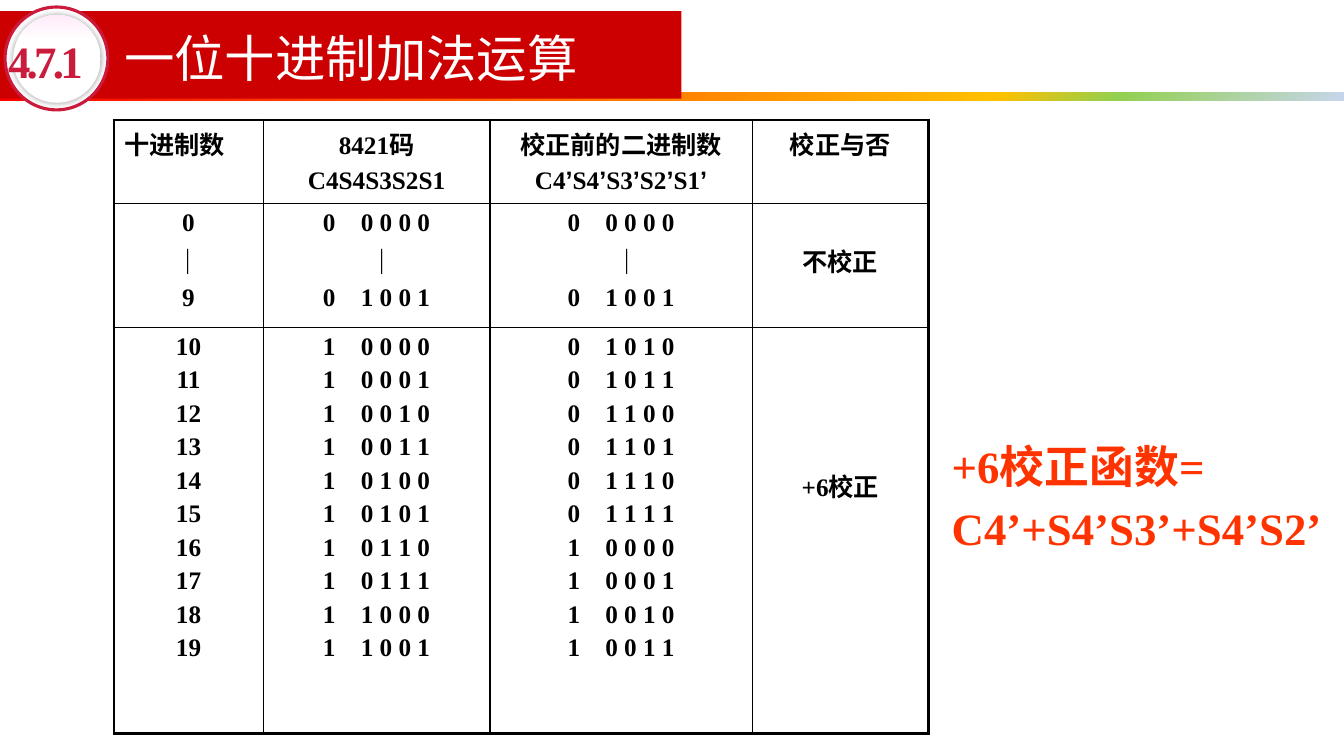
from itertools import groupby

from lxml import etree
from pptx import Presentation
from pptx.dml.color import RGBColor
from pptx.enum.shapes import MSO_SHAPE
from pptx.enum.text import MSO_ANCHOR, MSO_AUTO_SIZE, PP_ALIGN
from pptx.oxml.ns import qn
from pptx.util import Inches, Pt

SERIF = "Times New Roman"
SANS = "Noto Sans CJK SC"


def rgb(color):
    return RGBColor.from_string(color)


def format_run(run, size, color, font=SERIF, bold=True):
    run.font.size = Pt(size)
    run.font.bold = bold
    run.font.color.rgb = rgb(color)
    run.font.name = font
    east_asian = etree.SubElement(run.font._element, qn("a:ea"))
    east_asian.set("typeface", SANS)


presentation = Presentation()
presentation.slide_width = Inches(13.33)
presentation.slide_height = Inches(7.5)
slide = presentation.slides.add_slide(presentation.slide_layouts[1])
shapes = slide.shapes

# Header band and round badge: kind, box, solid fill, outline, gradient stops, angle
decorations = [
    (MSO_SHAPE.RECTANGLE, (0, 0.92, 13.33, 0.08), None, None,
     [(0, "FF0000"), (74, "FFC000"), (83, "92D050"), (100, "C7D5ED")], 45),
    (MSO_SHAPE.RECTANGLE, (0, 0.11, 6.76, 0.87), "CC0000", None, None, 0),
    (MSO_SHAPE.OVAL, (0.05, 0.07, 1.02, 1.02), "FFFFFF", "CB1B3D", None, 0),
    (MSO_SHAPE.OVAL, (0.13, 0.15, 0.87, 0.87), None, None,
     [(0, "FFFFFF"), (70, "FFFFFF"), (100, "FFEBFA")], 270),
]
for kind, box, fill, outline, stops, angle in decorations:
    shape = shapes.add_shape(kind, *map(Inches, box))
    shape.shadow.inherit = False
    if outline:
        shape.line.color.rgb = rgb(outline)
        shape.line.width = Pt(2.25)
    else:
        shape.line.fill.background()
    if fill:
        shape.fill.solid()
        shape.fill.fore_color.rgb = rgb(fill)
        continue
    shape.fill.gradient()
    gradient = shape._element.spPr.find(qn("a:gradFill"))
    stop_list = gradient.find(qn("a:gsLst"))
    for stop in list(stop_list):
        stop_list.remove(stop)
    for position, color in stops:
        stop = etree.SubElement(stop_list, qn("a:gs"), pos=str(position * 1000))
        etree.SubElement(stop, qn("a:srgbClr"), val=color)
    gradient.find(qn("a:lin")).set("ang", str(angle * 60000))

# Soft shadow of the inner disc
effects = shape._element.spPr.find(qn("a:effectLst"))
shadow = etree.SubElement(effects, qn("a:outerShdw"), blurRad=str(Pt(5)), dist="0", dir="0")
shadow_color = etree.SubElement(shadow, qn("a:srgbClr"), val="000000")
etree.SubElement(shadow_color, qn("a:alpha"), val="40000")

# Title and section number, brought in front of the header
title = shapes.title
number = slide.placeholders[1]
for placeholder, box, text in [
    (title, (1.13, 0.2, 7.57, 0.82), "一位十进制加法运算"),
    (number, (0.08, 0.33, 0.93, 0.54), "4.7.1"),
]:
    shapes._spTree.append(placeholder._element)
    placeholder.left, placeholder.top, placeholder.width, placeholder.height = map(Inches, box)
    frame = placeholder.text_frame
    frame.text = text
    frame.vertical_anchor = MSO_ANCHOR.MIDDLE
    frame.auto_size = MSO_AUTO_SIZE.NONE
    frame.paragraphs[0].alignment = PP_ALIGN.LEFT
    frame.paragraphs[0].space_before = Pt(0)

title.text_frame.paragraphs[0].line_spacing = 0.9
format_run(title.text_frame.paragraphs[0].runs[0], 36, "FFFFFF", SANS, False)

frame = number.text_frame
frame.margin_left = frame.margin_top = frame.margin_right = frame.margin_bottom = 0
paragraph = frame.paragraphs[0]
properties = paragraph._p.get_or_add_pPr()
properties.set("marL", "0")
properties.set("indent", "0")
etree.SubElement(properties, qn("a:buNone"))
format_run(paragraph.runs[0], 32, "CB1B3D")
paragraph.runs[0].font._element.set("spc", "-270")

# Code table: 8421 codes and uncorrected binary sums
codes = ["{}    {}".format(n // 10, " ".join(f"{n % 10:04b}")) for n in range(20)]
sums = ["{}    {}".format(n // 16, " ".join(f"{n % 16:04b}")) for n in range(20)]
rows = [
    [["十进制数"], ["8421码", "C4S4S3S2S1"],
     ["校正前的二进制数", "C4’S4’S3’S2’S1’"], ["校正与否"]],
    [["0", "｜", "9"], [codes[0], "  ｜", codes[9]],
     [sums[0], "  ｜", sums[9]], ["不校正"]],
    [[str(n) for n in range(10, 20)], codes[10:], sums[10:], ["+6校正"]],
]
column_widths = [1.48, 2.25, 2.6, 1.75]
row_heights = [0.83, 1.23, 4.03]
table = shapes.add_table(3, 4, Inches(1.13), Inches(1.19), Inches(8.08), Inches(6.09)).table
table.first_row = table.horz_banding = False
for column, width in zip(table.columns, column_widths):
    column.width = Inches(width)
for row, height in zip(table.rows, row_heights):
    row.height = Inches(height)

for row_index, row in enumerate(rows):
    for column_index, lines in enumerate(row):
        cell = table.cell(row_index, column_index)
        frame = cell.text_frame
        for line_index, line in enumerate(lines):
            paragraph = frame.add_paragraph() if line_index else frame.paragraphs[0]
            first_cell = row_index == column_index == 0
            paragraph.alignment = PP_ALIGN.LEFT if first_cell else PP_ALIGN.CENTER
            paragraph.space_before = Pt(4)
            for is_prime, letters in groupby(line, lambda letter: letter == "’"):
                run = paragraph.add_run()
                run.text = "".join(letters)
                format_run(run, 18, "000000", "Arial" if is_prime else SERIF)

        # Thick outer frame, thin inner rules
        cell_properties = cell._tc.get_or_add_tcPr()
        for side, is_outer in [("lnL", column_index == 0), ("lnR", column_index == 3),
                               ("lnT", row_index == 0), ("lnB", row_index == 2)]:
            border = etree.SubElement(cell_properties, qn("a:" + side),
                                      w=str(Pt(2.25 if is_outer else 1)))
            border_fill = etree.SubElement(border, qn("a:solidFill"))
            etree.SubElement(border_fill, qn("a:srgbClr"), val="000000")
        cell.fill.background()

# Lower the two verdicts inside their tall cells
table.cell(1, 3).margin_top = Inches(0.38)
table.cell(2, 3).margin_top = Inches(1.39)

# Correction function
formula = shapes.add_textbox(Inches(9.34), Inches(4.3), Inches(3.95), Inches(1.29))
frame = formula.text_frame
frame.word_wrap = True
frame.auto_size = MSO_AUTO_SIZE.SHAPE_TO_FIT_TEXT
frame.text = "+6校正函数=\nC4’+S4’S3’+S4’S2’"
for paragraph in frame.paragraphs:
    paragraph.space_before = Pt(6.4)
    format_run(paragraph.runs[0], 32, "FF3300")

presentation.save("out.pptx")
